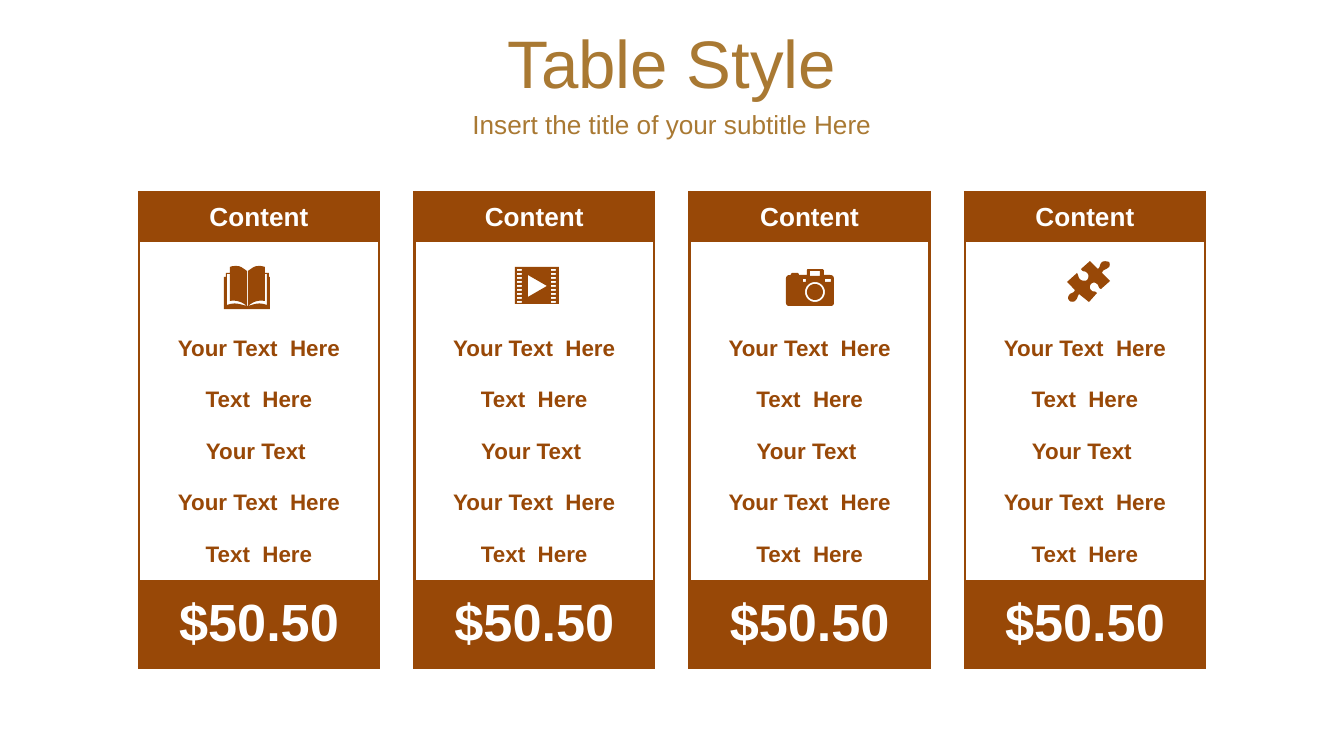
import math

import lxml.etree
import pptx
import pptx.dml.color
import pptx.enum.text
import pptx.oxml.ns
import pptx.util

EMU_PER_PX = 914400 / 134.4
BROWN = pptx.dml.color.RGBColor(0x98, 0x48, 0x07)
GOLD = pptx.dml.color.RGBColor(0xA9, 0x79, 0x33)
WHITE = pptx.dml.color.RGBColor(0xFF, 0xFF, 0xFF)

SLIDE_WIDTH, SLIDE_HEIGHT = 1344, 756
HEADINGS = [  # text, top, height, font size
    ("Table Style", 19, 85, 36),
    ("Insert the title of your subtitle Here", 103, 42, 14),
]

CARD_COUNT = 4
CARD_LEFT, CARD_TOP, CARD_WIDTH = 139, 192, 240
LAST_CARD_LEFT = 965
HEADER_STYLE = {"size": pptx.util.Pt(14), "color": WHITE, "fill": BROWN}
BODY_STYLE = {"size": pptx.util.Pt(12), "color": BROWN, "fill": None}
PRICE_STYLE = {"size": pptx.util.Pt(28), "color": WHITE, "fill": BROWN}
CARD_ROWS = [  # text, height, style
    ("Content", 50, HEADER_STYLE),
    ("", 81, BODY_STYLE),
    ("Your Text  Here", 51, BODY_STYLE),
    ("Text  Here", 52, BODY_STYLE),
    ("Your Text ", 51, BODY_STYLE),
    ("Your Text  Here", 52, BODY_STYLE),
    ("Text  Here", 51, BODY_STYLE),
    ("$50.50", 88, PRICE_STYLE),
]


def rectangle(left, top, right, bottom):
    return [(left, top), (right, top), (right, bottom), (left, bottom)]


def circle(center_x, center_y, radius, steps=32):
    angles = [2 * math.pi * step / steps for step in range(steps)]
    return [(center_x + radius * math.cos(angle), center_y + radius * math.sin(angle))
            for angle in angles]


# A contour lists points (x, y) and cubic curves (x1, y1, x2, y2, x, y).
BOOK = [[
    (247, 306), (248, 306), (255, 304, 259, 302, 267, 305), (267, 274), (265, 274),
    (265, 301), (259, 300, 254, 301, 248, 306), (248, 271),
    (251, 269, 254, 266, 258, 266), (261, 266, 262, 266, 265, 267), (265, 273),
    (269, 273), (269, 277), (270, 277), (270, 309), (224, 309), (224, 277),
    (226, 277), (226, 273), (230, 273), (230, 267), (232, 266, 235, 266, 237, 266),
    (241, 266, 244, 269, 247, 271), (247, 306), (241, 301, 235, 300, 230, 301),
    (230, 274), (227, 274), (227, 305), (235, 302, 239, 304, 247, 306),
]]
FILM = [rectangle(515, 267, 559, 304), [(528, 275), (528, 297), (547, 286)]] + [
    rectangle(left, top, left + 5, top + 2)
    for left in (517, 551) for top in range(269, 302, 4)
]
CAMERA = [
    [(808, 269), (822, 269), (823, 269, 824, 270, 824, 271), (824, 275), (830, 275),
     (833, 275, 834, 277, 834, 279), (834, 302), (834, 305, 833, 306, 830, 306),
     (790, 306), (787, 306, 786, 305, 786, 302), (786, 279),
     (786, 277, 787, 275, 790, 275), (791, 275), (791, 274), (792, 273), (798, 273),
     (799, 274), (799, 275), (807, 275), (807, 271), (807, 270, 807, 269, 808, 269)],
    circle(815, 292, 10),
    circle(815, 292, 8),
    rectangle(803, 279, 806, 282),
    rectangle(825, 279, 831, 282),
    rectangle(810, 271, 820, 276),
]
PUZZLE = [[
    (1109, 262), (1110, 263, 1110, 266, 1109, 267), (1106, 270, 1103, 269, 1102, 273),
    (1110, 281), (1101, 289), (1098, 288, 1099, 285, 1097, 284),
    (1095, 282, 1093, 282, 1091, 284), (1090, 285, 1089, 288, 1091, 290),
    (1094, 293, 1094, 290, 1097, 293), (1089, 302), (1079, 294),
    (1077, 297, 1078, 298, 1075, 301), (1074, 302, 1070, 302, 1070, 301),
    (1068, 300, 1067, 297, 1070, 294), (1071, 293, 1074, 293, 1075, 290),
    (1067, 282), (1077, 273), (1079, 276, 1078, 278, 1081, 280),
    (1083, 281, 1086, 281, 1087, 280), (1089, 278, 1089, 274, 1087, 273),
    (1085, 270, 1083, 273, 1081, 269), (1090, 261), (1098, 269),
    (1101, 266, 1099, 265, 1102, 262), (1103, 261, 1107, 261, 1109, 262),
]]
ICONS = [BOOK, FILM, CAMERA, PUZZLE]


def px(length):
    return pptx.util.Emu(round(length * EMU_PER_PX))


def write(paragraph, text, size, color, bold):
    paragraph.alignment = pptx.enum.text.PP_ALIGN.CENTER
    font = paragraph.font
    if text:
        run = paragraph.add_run()
        run.text = text
        font = run.font
    for name, value in {"name": "Arial", "size": size, "bold": bold}.items():
        setattr(font, name, value)
    font.color.rgb = color


def add_heading(slide, text, top, height, size):
    box = slide.shapes.add_textbox(0, px(top), px(SLIDE_WIDTH), px(height))
    frame = box.text_frame
    frame.word_wrap = True
    frame.vertical_anchor = pptx.enum.text.MSO_ANCHOR.MIDDLE
    write(frame.paragraphs[0], text, pptx.util.Pt(size), GOLD, False)


def set_borders(cell, visible_sides):
    properties = cell._tc.get_or_add_tcPr()
    for side in "LRTB":
        line = lxml.etree.SubElement(properties, pptx.oxml.ns.qn(f"a:ln{side}"))
        if side in visible_sides:
            line.set("w", str(pptx.util.Pt(1.5)))
            fill = lxml.etree.SubElement(line, pptx.oxml.ns.qn("a:solidFill"))
            lxml.etree.SubElement(fill, pptx.oxml.ns.qn("a:srgbClr"), val=str(BROWN))
        else:
            lxml.etree.SubElement(line, pptx.oxml.ns.qn("a:noFill"))


def add_card(slide, left):
    height = sum(row[1] for row in CARD_ROWS)
    table = slide.shapes.add_table(
        len(CARD_ROWS), 1, px(left), px(CARD_TOP), px(CARD_WIDTH), px(height)).table
    table.first_row = table.horz_banding = False
    for index, (text, row_height, style) in enumerate(CARD_ROWS):
        table.rows[index].height = px(row_height)
        cell = table.cell(index, 0)
        cell.vertical_anchor = pptx.enum.text.MSO_ANCHOR.MIDDLE
        end_side = {0: "T", len(CARD_ROWS) - 1: "B"}.get(index, "")
        set_borders(cell, "LR" + end_side)
        if style["fill"] is None:
            cell.fill.background()
        else:
            cell.fill.solid()
            cell.fill.fore_color.rgb = style["fill"]
        write(cell.text_frame.paragraphs[0], text, style["size"], style["color"], True)


def flatten(contour, steps=8):
    """Turn a contour's curves into short lines, with all points in EMU."""
    points = []
    for segment in contour:
        if len(segment) == 2:
            points.append(segment)
            continue
        controls = [points[-1], segment[:2], segment[2:4], segment[4:]]
        for step in range(1, steps + 1):
            t = step / steps
            weights = [math.comb(3, k) * t**k * (1 - t)**(3 - k) for k in range(4)]
            points.append(tuple(sum(weight * control[axis] for weight, control
                                    in zip(weights, controls)) for axis in (0, 1)))
    return [(px(x), px(y)) for x, y in points]


def add_icon(slide, contours):
    outlines = [flatten(contour) for contour in contours]
    builder = slide.shapes.build_freeform(*outlines[0][0])
    for index, points in enumerate(outlines):
        if index:
            builder.move_to(*points[0])
        builder.add_line_segments(points[1:], close=True)
    shape = builder.convert_to_shape()
    shape.shadow.inherit = False
    shape.fill.solid()
    shape.fill.fore_color.rgb = BROWN
    shape.line.fill.background()


def main():
    presentation = pptx.Presentation()
    presentation.slide_width = px(SLIDE_WIDTH)
    presentation.slide_height = px(SLIDE_HEIGHT)
    slide = presentation.slides.add_slide(presentation.slide_layouts[6])
    for heading in HEADINGS:
        add_heading(slide, *heading)
    step = (LAST_CARD_LEFT - CARD_LEFT) / (CARD_COUNT - 1)
    for index, icon in enumerate(ICONS):
        add_card(slide, CARD_LEFT + index * step)
        add_icon(slide, icon)
    presentation.save("out.pptx")


if __name__ == "__main__":
    main()
